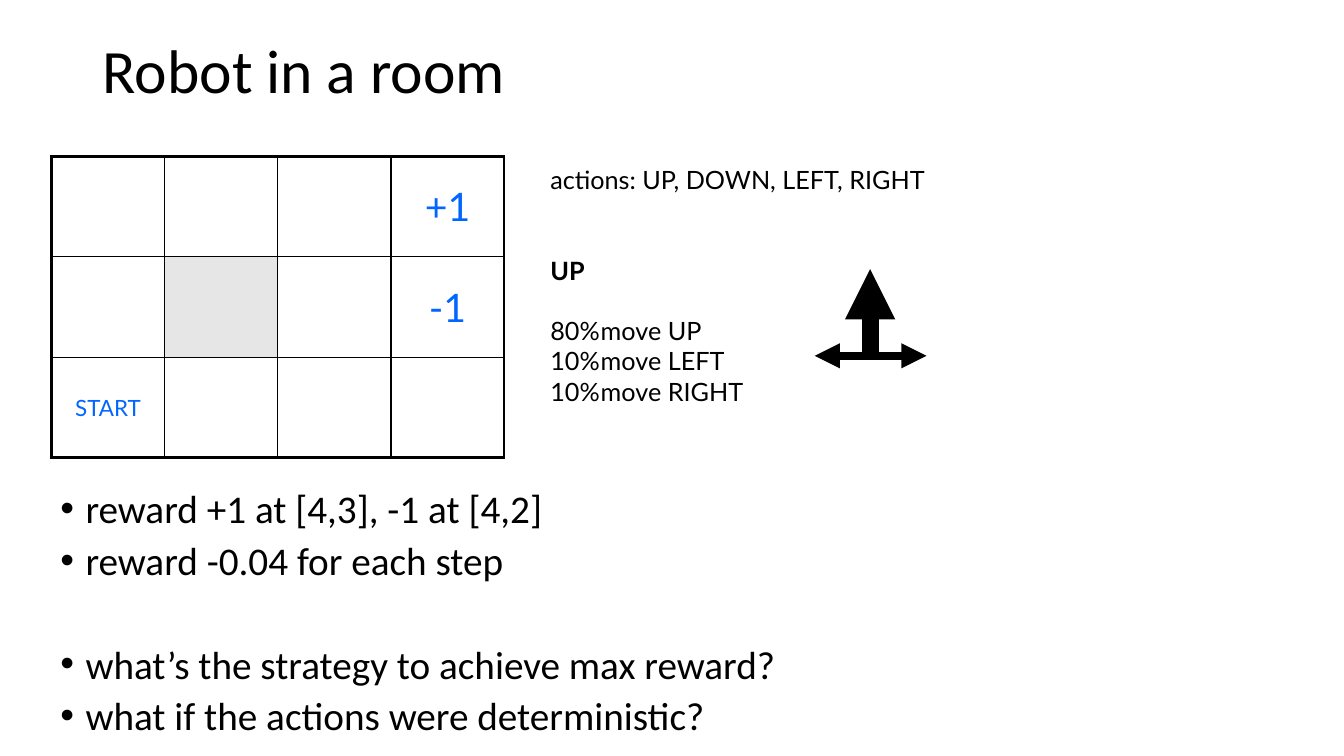
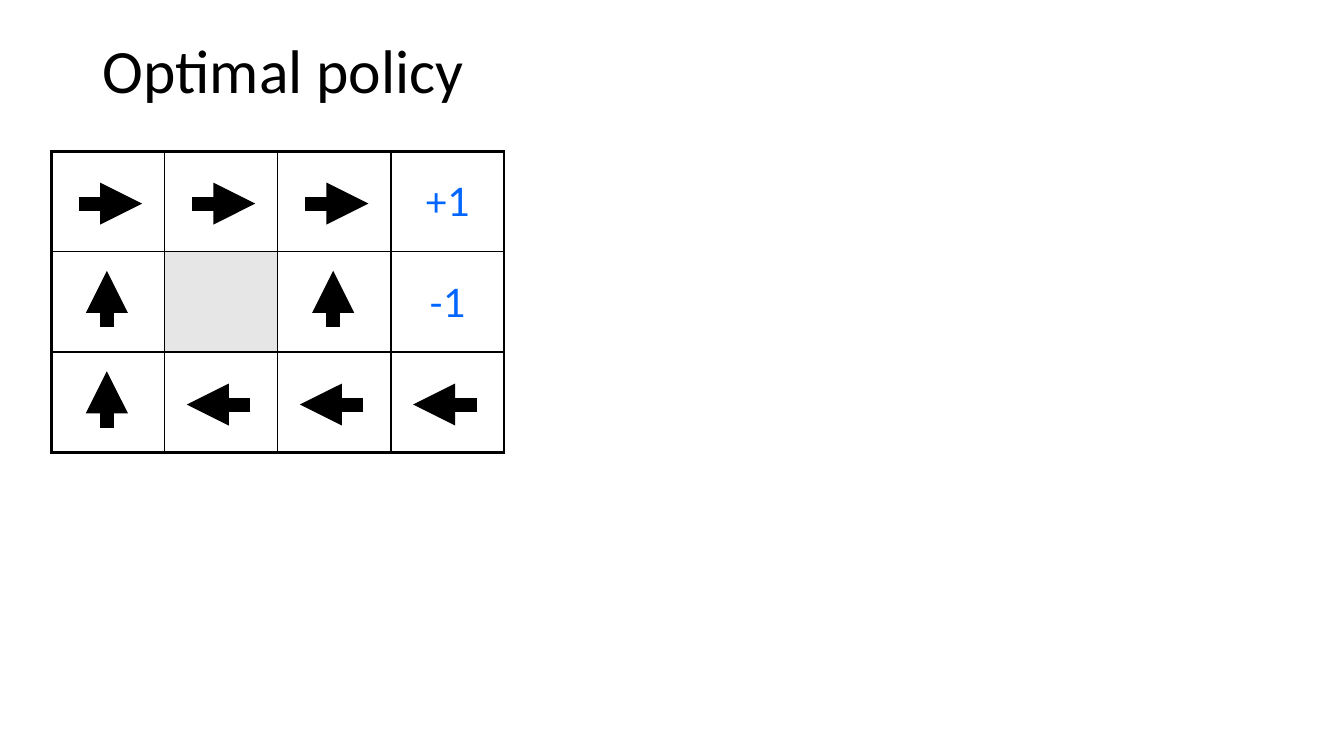
from lxml.etree import SubElement
from pptx import Presentation
from pptx.dml.color import RGBColor
from pptx.enum.shapes import MSO_CONNECTOR
from pptx.enum.text import MSO_ANCHOR, PP_ALIGN
from pptx.oxml.ns import qn
from pptx.util import Inches, Pt

BLACK = RGBColor(0x00, 0x00, 0x00)
WHITE = RGBColor(0xFF, 0xFF, 0xFF)
BLUE = RGBColor(0x00, 0x66, 0xFF)
GRAY = RGBColor(0xE7, 0xE6, 0xE6)
HEADING_FONT, BODY_FONT = "Calibri", "Lato"

# Room grid, in inches
COLUMNS, ROWS = 4, 3
ROOM_LEFT, ROOM_WIDTH, ROOM_HEIGHT = 0.51, 4.49, 2.99
CELL_WIDTH, CELL_HEIGHT = ROOM_WIDTH / COLUMNS, ROOM_HEIGHT / ROWS
WALL = (1, 1)
REWARDS = {(0, 3): ("+1", 28), (1, 3): ("-1", 28)}
THICK, THIN = Pt(2.25), Pt(1)

# Start and end of each policy arrow, measured from its cell's corner
MOVES = {
    "R": ((0.27, 0.52), (0.9, 0.52)),
    "L": ((0.85, 0.52), (0.22, 0.52)),
    "U": ((0.55, 0.75), (0.55, 0.19)),
}
POLICY = ["RRR ", "U U ", "ULLL"]


def add_run(paragraph, text, size, font=BODY_FONT, color=BLACK, bold=False):
    run = paragraph.add_run()
    run.text = text
    run.font.size = Pt(size)
    run.font.name = font
    run.font.color.rgb = color
    run.font.bold = bold


def add_text_frame(slide, left, top, width, height):
    frame = slide.shapes.add_textbox(
        Inches(left), Inches(top), Inches(width), Inches(height)).text_frame
    frame.word_wrap = True
    return frame


def add_paragraphs(frame, items):
    """Yield a paragraph for each item, reusing the one already present."""
    for index, item in enumerate(items):
        yield (frame.add_paragraph() if index else frame.paragraphs[0]), item


def add_titled_slide(prs, title):
    slide = prs.slides.add_slide(prs.slide_layouts[6])
    frame = add_text_frame(slide, 0.92, 0, 11.5, 1.45)
    frame.vertical_anchor = MSO_ANCHOR.MIDDLE
    frame.paragraphs[0].line_spacing = 0.9
    add_run(frame.paragraphs[0], title, 44, HEADING_FONT)
    return slide


def set_borders(cell, row, column):
    outer_sides = {"lnL": column == 0, "lnR": column == COLUMNS - 1,
                   "lnT": row == 0, "lnB": row == ROWS - 1}
    properties = cell._tc.get_or_add_tcPr()
    for position, (side, is_outer) in enumerate(outer_sides.items()):
        border = SubElement(properties, qn("a:" + side),
                            w=str(THICK if is_outer else THIN))
        fill = SubElement(border, qn("a:solidFill"))
        SubElement(fill, qn("a:srgbClr"), val=str(BLACK))
        # Borders come before the cell fill
        properties.insert(position, border)


def add_room(slide, top, labels):
    room = slide.shapes.add_table(
        ROWS, COLUMNS, Inches(ROOM_LEFT), Inches(top),
        Inches(ROOM_WIDTH), Inches(ROOM_HEIGHT)).table
    room.first_row = room.horz_banding = False
    for row in range(ROWS):
        for column in range(COLUMNS):
            cell = room.cell(row, column)
            cell.fill.solid()
            cell.fill.fore_color.rgb = GRAY if (row, column) == WALL else WHITE
            set_borders(cell, row, column)
            if (row, column) in labels:
                label, size = labels[row, column]
                cell.vertical_anchor = MSO_ANCHOR.MIDDLE
                cell.text_frame.paragraphs[0].alignment = PP_ALIGN.CENTER
                add_run(cell.text_frame.paragraphs[0], label, size, color=BLUE)


def add_arrow(shapes, start, end, weight):
    arrow = shapes.add_connector(
        MSO_CONNECTOR.STRAIGHT, *(Inches(value) for value in (*start, *end)))
    arrow.line.color.rgb = BLACK
    arrow.line.width = Pt(weight)
    SubElement(arrow.line._get_or_add_ln(), qn("a:tailEnd"), type="triangle")
    SubElement(arrow._element.spPr, qn("a:effectLst"))


def add_action_notes(slide):
    frame = add_text_frame(slide, 5.36, 1.58, 4.22, 2.5)
    # Text, space before, bold
    notes = [
        ("actions: UP, DOWN, LEFT, RIGHT", 0, False),
        ("UP", 43.2, True),
        ("80%\tmove UP", 21.6, False),
        ("10%\tmove LEFT", 0, False),
        ("10%\tmove RIGHT", 0, False),
    ]
    for paragraph, (text, space, bold) in add_paragraphs(frame, notes):
        paragraph.space_before = Pt(space)
        add_run(paragraph, text, 18, bold=bold)


def add_bullets(slide):
    frame = add_text_frame(slide, 0.5, 4.85, 9, 2.65)
    # Text, space before
    bullets = [
        ("reward +1 at [4,3], -1 at [4,2]", 10),
        ("reward -0.04 for each step", 10),
        ("what\u2019s the strategy to achieve max reward?", 47),
        ("what if the actions were deterministic?", 10),
    ]
    for paragraph, (text, space) in add_paragraphs(frame, bullets):
        paragraph.line_spacing = 0.8
        paragraph.space_before = Pt(space)
        properties = paragraph._p.get_or_add_pPr()
        properties.set("marL", str(Inches(0.25)))
        properties.set("indent", str(-Inches(0.25)))
        SubElement(properties, qn("a:buFont"), typeface="Arial")
        SubElement(properties, qn("a:buChar"), char="\u2022")
        add_run(paragraph, text, 28, HEADING_FONT)


def add_robot_slide(prs):
    slide = add_titled_slide(prs, "Robot in a room")
    add_room(slide, 1.55, {**REWARDS, (2, 0): ("START", 16)})
    # Outcomes of UP: mostly up, sometimes sideways
    outcomes = slide.shapes.add_group_shape().shapes
    add_arrow(outcomes, (8.63, 3.53), (8.63, 2.67), 12)
    add_arrow(outcomes, (8.63, 3.53), (9.19, 3.53), 6)
    add_arrow(outcomes, (8.71, 3.53), (8.08, 3.53), 6)
    add_action_notes(slide)
    add_bullets(slide)


def add_policy_slide(prs):
    slide = add_titled_slide(prs, "Optimal policy")
    room_top = 1.5
    add_room(slide, room_top, REWARDS)
    for row, moves in enumerate(POLICY):
        for column, move in enumerate(moves):
            if move in MOVES:
                start, end = (
                    (ROOM_LEFT + column * CELL_WIDTH + x,
                     room_top + row * CELL_HEIGHT + y)
                    for x, y in MOVES[move])
                add_arrow(slide.shapes, start, end, 10)


def main():
    prs = Presentation()
    prs.slide_width, prs.slide_height = Inches(13.33), Inches(7.5)
    add_robot_slide(prs)
    add_policy_slide(prs)
    prs.save("out.pptx")


main()
